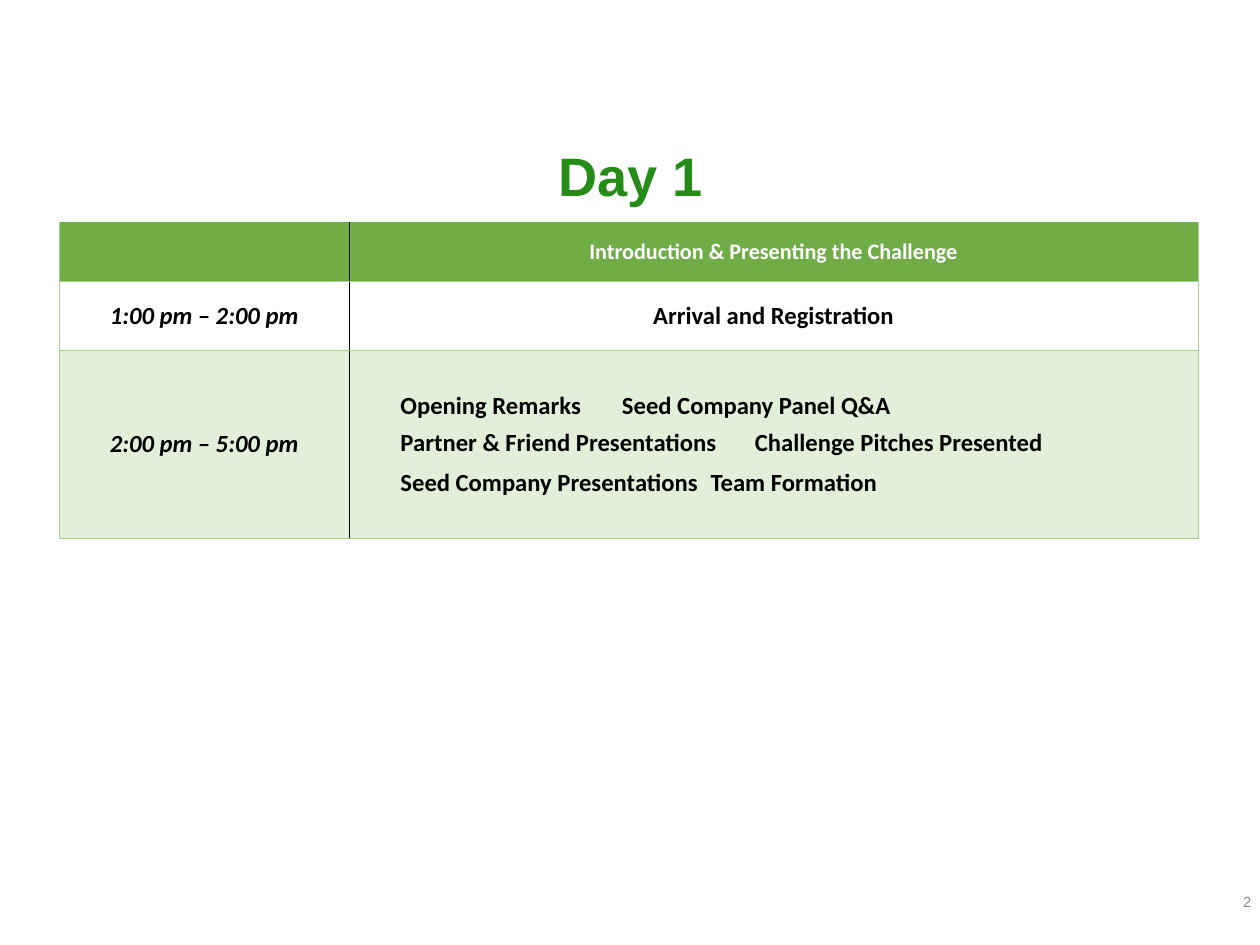
import pptx
import pptx.util
import pptx.dml.color
import pptx.enum.text
import pptx.oxml
import pptx.oxml.ns

Inches, Pt = pptx.util.Inches, pptx.util.Pt
RGBColor = pptx.dml.color.RGBColor
ALIGN, ANCHOR = pptx.enum.text.PP_ALIGN, pptx.enum.text.MSO_ANCHOR
NS = pptx.oxml.ns.nsdecls("a")

TITLE_GREEN = RGBColor(0x25, 0x8C, 0x18)
HEADER_GREEN = RGBColor(0x70, 0xAD, 0x47)
PALE_GREEN = RGBColor(0xE2, 0xEF, 0xD9)
LINE_GREEN = RGBColor(0xA8, 0xD0, 0x8D)
GREY = RGBColor(0x88, 0x88, 0x88)
WHITE = RGBColor(0xFF, 0xFF, 0xFF)
BLACK = RGBColor(0, 0, 0)

WIDTH, HEIGHT = 14.22, 10.67
COLUMNS = [3.27, 9.58]
ROWS = [0.67, 0.78, 2.12]
SECOND_TAB = 5.3

# Row: fill, text colour, size, time, sessions
AGENDA = [
    (HEADER_GREEN, WHITE, 18, "", ["Introduction & Presenting the Challenge"]),
    (WHITE, BLACK, 20, "1:00 pm – 2:00 pm", ["Arrival and Registration"]),
    (PALE_GREEN, BLACK, 20, "2:00 pm – 5:00 pm", [
        "Opening Remarks\tSeed Company Panel Q&A",
        "Partner & Friend Presentations\tChallenge Pitches Presented",
        "Seed Company Presentations\tTeam Formation"]),
]


def set_font(p, name, size, color, bold=False, italic=False):
    p.font.name, p.font.size = name, Pt(size)
    p.font.bold, p.font.italic = bold, italic
    p.font.color.rgb = color


def place(sp, box):
    sp.left, sp.top, sp.width, sp.height = map(Inches, box)


def add_title(slide, box, text):
    sp = slide.shapes.title
    place(sp, box)
    tf = sp.text_frame
    tf.text = text
    tf.vertical_anchor = ANCHOR.TOP
    p = tf.paragraphs[0]
    p.alignment = ALIGN.CENTER
    set_font(p, "Arial", 44, TITLE_GREEN, bold=True)


def add_page_number(slide, box, text):
    tf = slide.shapes.add_textbox(*map(Inches, box)).text_frame
    tf.word_wrap = True
    tf.vertical_anchor = ANCHOR.MIDDLE
    p = tf.paragraphs[0]
    p.text = text
    p.alignment = ALIGN.RIGHT
    set_font(p, "Arial", 12, GREY)


def set_borders(cell, **sides):
    """Draw the L, R, T and B borders, each given as (colour, points)."""
    tcPr = cell._tc.get_or_add_tcPr()
    for i, side in enumerate("LRTB"):
        color, width = sides[side]
        tcPr.insert(i, pptx.oxml.parse_xml(
            f'<a:ln{side} {NS} w="{Pt(width)}"><a:solidFill>'
            f'<a:srgbClr val="{color}"/></a:solidFill></a:ln{side}>'))


def set_tab(p, inches):
    """Start the paragraph half an inch in, with one tab stop."""
    pPr = p._p.get_or_add_pPr()
    pPr.set("marL", "0")
    pPr.set("indent", str(Inches(0.5)))
    tabs = pptx.oxml.parse_xml(
        f'<a:tabLst {NS}><a:tab pos="{Inches(inches)}" algn="l"/></a:tabLst>')
    pPr.find(pptx.oxml.ns.qn("a:defRPr")).addprevious(tabs)


def fill_cell(cell, lines, fill, color, size, italic):
    cell.fill.solid()
    cell.fill.fore_color.rgb = fill
    cell.vertical_anchor = ANCHOR.MIDDLE
    cell.margin_left = cell.margin_right = Inches(0.08)
    tf = cell.text_frame
    tf.text = "\n".join(lines)
    for i, p in enumerate(tf.paragraphs):
        p.alignment = ALIGN.CENTER if len(lines) == 1 else ALIGN.LEFT
        p.space_before = Pt([0, 6, 8][i])
        set_font(p, "Calibri", size, color, bold=True, italic=italic)
        if "\t" in p.text:
            set_tab(p, SECOND_TAB)


def add_agenda(slide, left, top):
    table = slide.shapes.add_table(
        len(ROWS), len(COLUMNS), Inches(left), Inches(top),
        Inches(sum(COLUMNS)), Inches(sum(ROWS))).table
    table.first_row = table.horz_banding = False
    for column, width in zip(table.columns, COLUMNS):
        column.width = Inches(width)
    for row, height in zip(table.rows, ROWS):
        row.height = Inches(height)

    outer, divider = (LINE_GREEN, 0.75), (BLACK, 1)
    for r, (fill, color, size, time, sessions) in enumerate(AGENDA):
        top_line = (HEADER_GREEN, 0.75) if r == 0 else outer
        for c, lines in enumerate([[time], sessions]):
            cell = table.cell(r, c)
            fill_cell(cell, lines, fill, color, size, italic=c == 0)
            set_borders(cell, L=divider if c else outer,
                        R=outer if c else divider, T=top_line, B=outer)


def main():
    prs = pptx.Presentation()
    prs.slide_width, prs.slide_height = Inches(WIDTH), Inches(HEIGHT)
    slide = prs.slides.add_slide(prs.slide_layouts[5])
    add_title(slide, (3.12, 1.56, 7.99, 0.94), "Day 1")
    add_agenda(slide, 0.67, 2.51)
    add_page_number(slide, (WIDTH - 3.32, 9.89, 3.32, 0.57), "2")
    prs.save("out.pptx")


if __name__ == "__main__":
    main()
